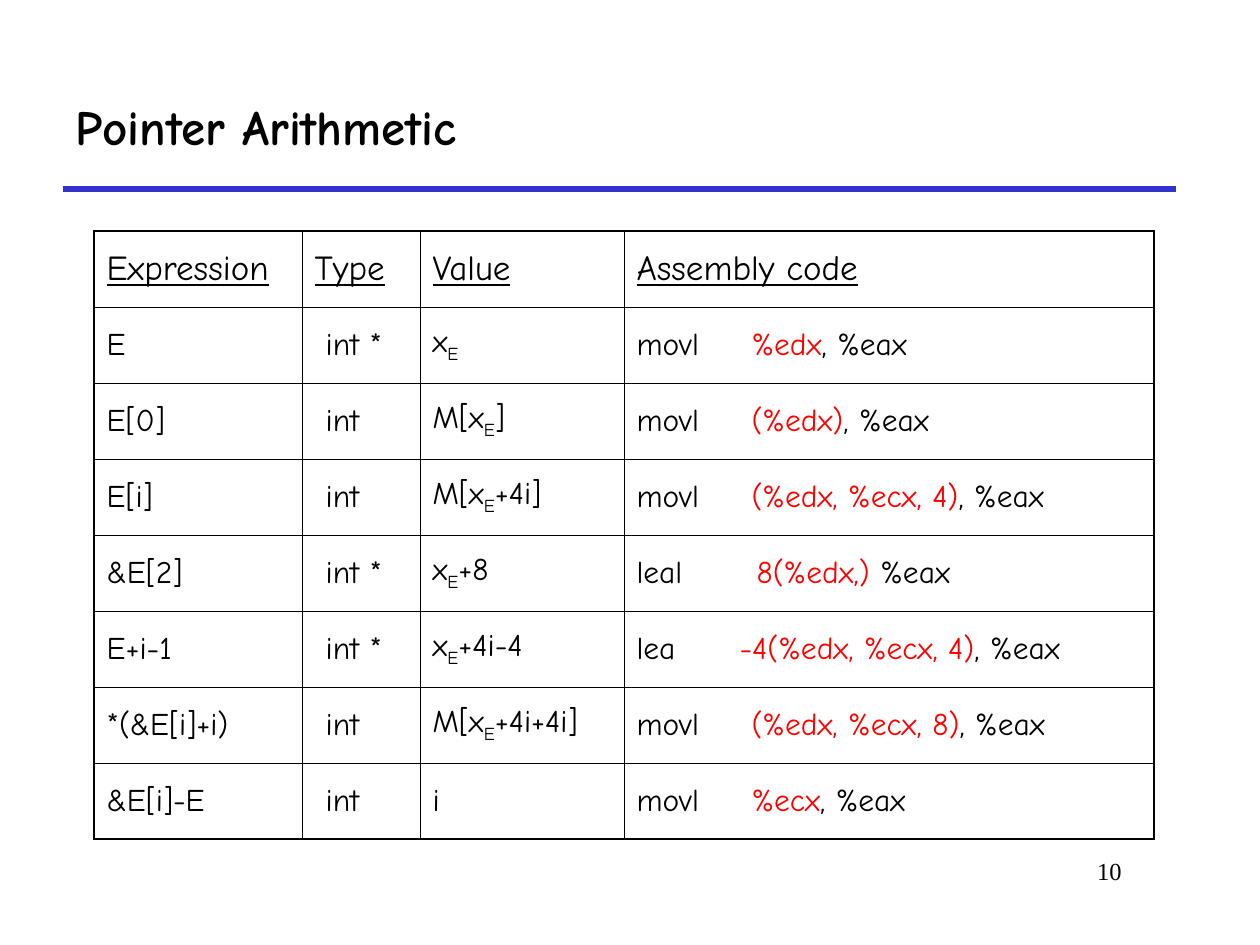
"""Build the Pointer Arithmetic slide."""
from lxml import etree
from pptx import Presentation
from pptx.dml.color import RGBColor
from pptx.enum.shapes import MSO_CONNECTOR
from pptx.enum.text import MSO_ANCHOR, PP_ALIGN
from pptx.oxml.ns import qn
from pptx.util import Pt

STRAIGHT = MSO_CONNECTOR.STRAIGHT
TOP, MIDDLE = MSO_ANCHOR.TOP, MSO_ANCHOR.MIDDLE
LEFT, RIGHT = PP_ALIGN.LEFT, PP_ALIGN.RIGHT

SCALE = 914400 / 126
BLACK, RED, BLUE = "000000", "FF0000", "3333CC"
SANS, SERIF = "Comic Neue", "Times New Roman"

HEADERS = ["Expression", "Type", "Value", "Assembly code"]
ROWS = [
    ("E", "int *", "xE", ("movl", "%edx", ", %eax")),
    ("E[0]", "int", "M[xE]", ("movl", "(%edx)", ", %eax")),
    ("E[i]", "int", "M[xE+4i]", ("movl", "(%edx, %ecx, 4)", ", %eax")),
    ("&E[2]", "int *", "xE+8", ("leal", "8(%edx,)", " %eax")),
    ("E+i-1", "int *", "xE+4i-4", ("lea", "-4(%edx, %ecx, 4)", ", %eax")),
    ("*(&E[i]+i)", "int", "M[xE+4i+4i]", ("movl", "(%edx, %ecx, 8)", ", %eax")),
    ("&E[i]-E", "int", "i", ("movl", "%ecx", ", %eax")),
]
TEXTS = [
    ("Pointer Arithmetic", (63, 63, 1113, 126), MIDDLE, LEFT,
     {"size": Pt(28), "name": SANS, "bold": True}),
    ("10", (955, 850, 179, 63), TOP, RIGHT, {"size": Pt(14), "name": SERIF}),
]
RULE = (63, 189, 1176, 189)
TABLE_LEFT, TABLE_TOP, ROW_HEIGHT = 94, 231, 76
COLUMNS = [208, 118, 204, 530]
TYPE_INDENT = 11
OPERAND_TABS = {"movl": 115, "leal": 120, "lea": 103}
HEADER = {"size": Pt(20), "name": SANS, "underline": True}
BODY = {"size": Pt(18), "name": SANS}
INNER, OUTER = Pt(0.45), Pt(1.08)


def px(n):
    return round(n * SCALE)


def rgb(value):
    return RGBColor.from_string(value)


def add_run(p, text, fmt, color=BLACK, baseline=0):
    r = p.add_run()
    r.text = text
    for key, value in fmt.items():
        setattr(r.font, key, value)
    r.font.color.rgb = rgb(color)
    if baseline:
        r._r.get_or_add_rPr().set("baseline", str(baseline))


def add_text(slide, text, box, anchor, align, fmt):
    tf = slide.shapes.add_textbox(*map(px, box)).text_frame
    tf.word_wrap = True
    tf.vertical_anchor = anchor
    p = tf.paragraphs[0]
    p.alignment = align
    add_run(p, text, fmt)


def add_rule(slide):
    sp = slide.shapes.add_connector(STRAIGHT, *map(px, RULE))
    sp.line.color.rgb = rgb(BLUE)
    sp.line.width = Pt(3)
    etree.SubElement(sp._element.spPr, qn("a:effectLst"))


def set_borders(cell, row, col):
    tcPr = cell._tc.get_or_add_tcPr()
    edges = {"L": col == 0, "R": col == len(COLUMNS) - 1,
             "T": row == 0, "B": row == len(ROWS)}
    for side, outer in edges.items():
        ln = etree.SubElement(tcPr, qn(f"a:ln{side}"), w=str(OUTER if outer else INNER))
        fill = etree.SubElement(ln, qn("a:solidFill"))
        etree.SubElement(fill, qn("a:srgbClr"), val=BLACK)


def write_type(p, text):
    p._p.get_or_add_pPr().set("marL", str(px(TYPE_INDENT)))
    add_run(p, text, BODY)


def write_value(p, text):
    before, sub, after = text.partition("E")
    for part, baseline in ((before, 0), (sub, -25000), (after, 0)):
        if part:
            add_run(p, part, BODY, baseline=baseline)


def write_code(p, code):
    op, operand, rest = code
    tabs = etree.SubElement(p._p.get_or_add_pPr(), qn("a:tabLst"))
    etree.SubElement(tabs, qn("a:tab"), pos=str(px(OPERAND_TABS[op])), algn="l")
    for text, color in ((op + "\t", BLACK), (operand, RED), (rest, BLACK)):
        add_run(p, text, BODY, color)


def write_expression(p, text):
    add_run(p, text, BODY)


def write_header(p, text):
    add_run(p, text, HEADER)


WRITERS = [write_expression, write_type, write_value, write_code]


def add_table(slide):
    rows = [HEADERS, *ROWS]
    table = slide.shapes.add_table(
        len(rows), len(COLUMNS), px(TABLE_LEFT), px(TABLE_TOP),
        px(sum(COLUMNS)), px(ROW_HEIGHT * len(rows))).table
    table.first_row = table.horz_banding = False
    for column, width in zip(table.columns, COLUMNS):
        column.width = px(width)
    for i, row in enumerate(rows):
        table.rows[i].height = px(ROW_HEIGHT)
        for j, content in enumerate(row):
            cell = table.cell(i, j)
            cell.vertical_anchor = MIDDLE
            set_borders(cell, i, j)
            cell.fill.background()
            p = cell.text_frame.paragraphs[0]
            p.space_before = Pt(4.5 if i else 5)
            write = WRITERS[j] if i else write_header
            write(p, content)


def main():
    prs = Presentation()
    prs.slide_width, prs.slide_height = px(1260), px(945)
    slide = prs.slides.add_slide(prs.slide_layouts[6])
    add_rule(slide)
    for item in TEXTS:
        add_text(slide, *item)
    add_table(slide)
    prs.save("out.pptx")


if __name__ == "__main__":
    main()
